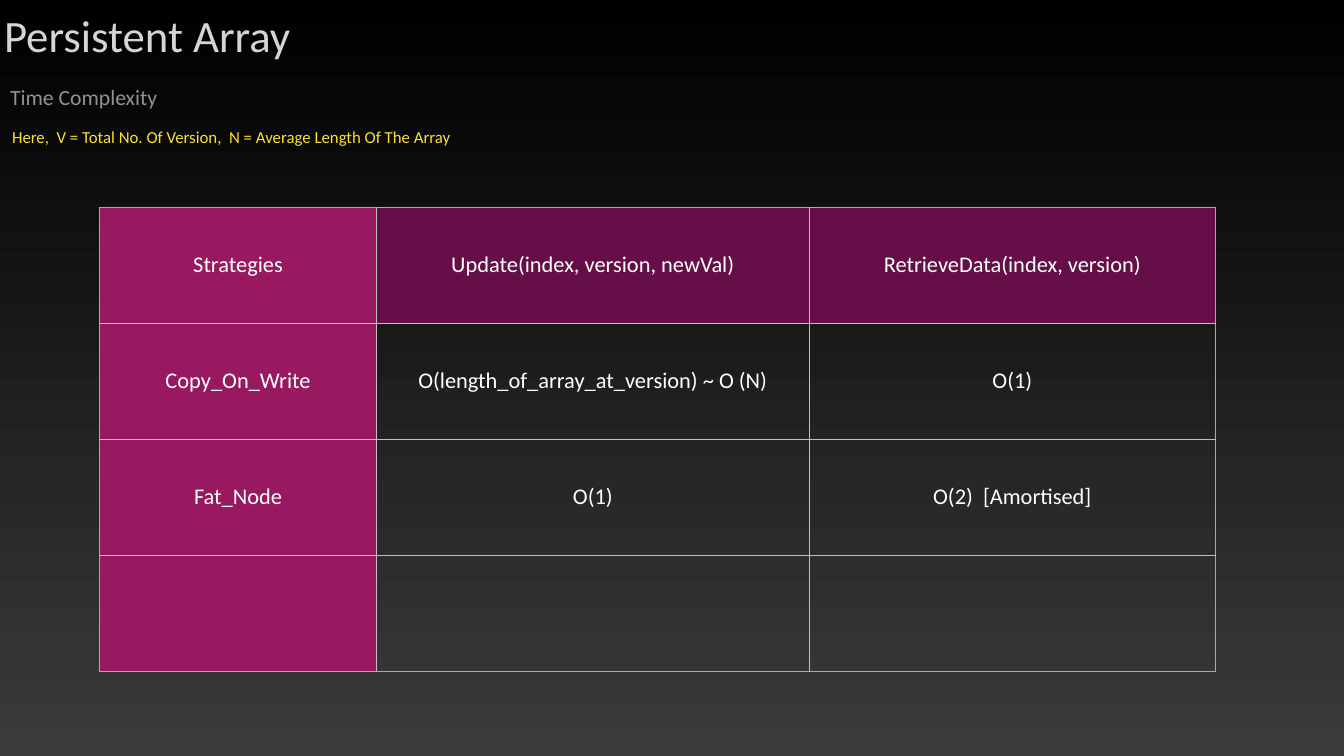
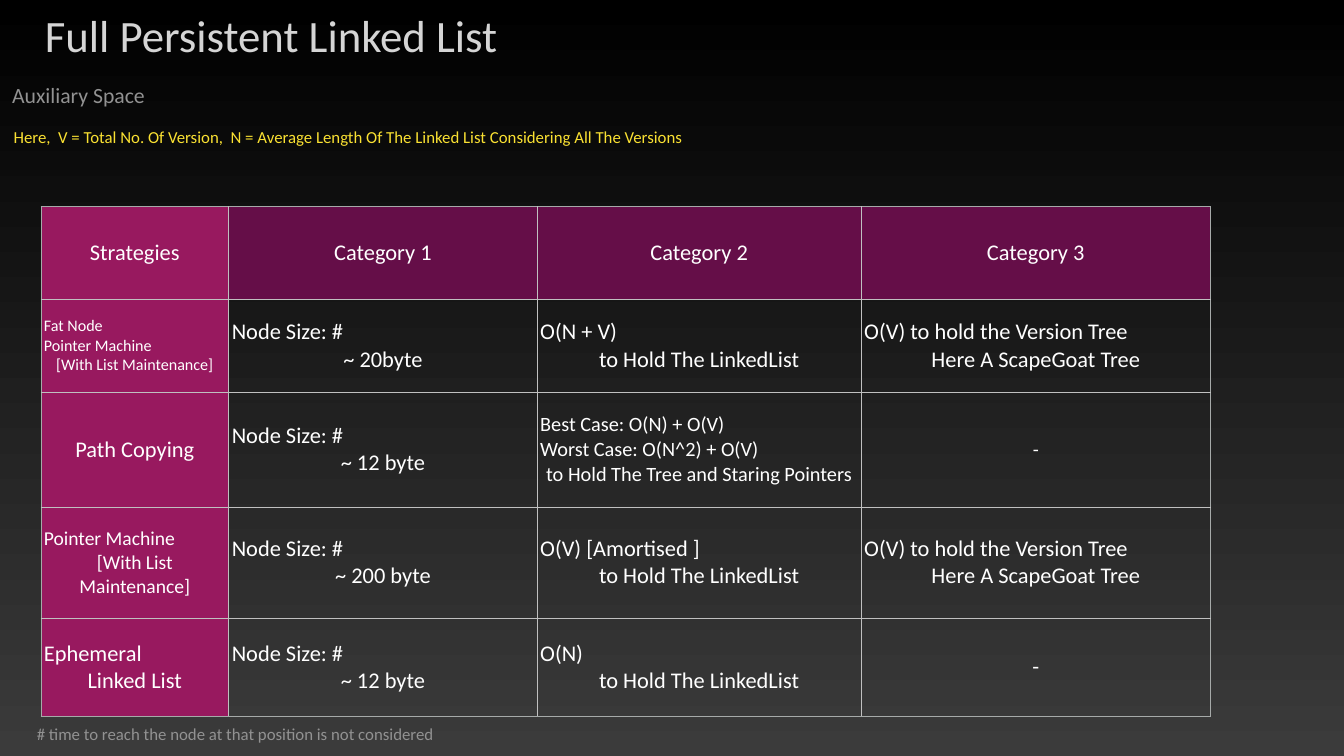
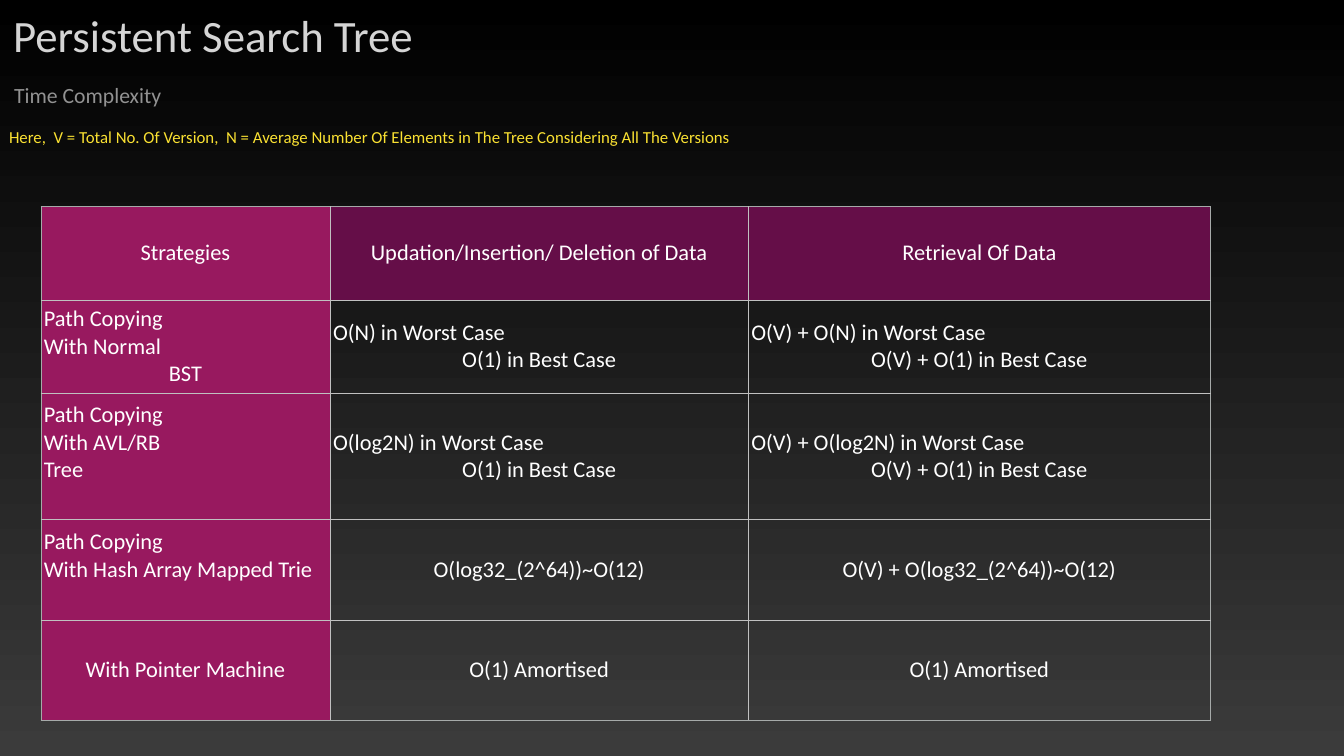
from dataclasses import dataclass

from lxml import etree
from pptx import Presentation
from pptx.dml import color as clr
from pptx.enum import text as txt
from pptx.oxml import ns
from pptx.util import Inches, Pt

HUES = {
    "top": "000000", "base": "3B3B3B", "title": "D5D5D5", "gray": "929292",
    "note": "FAE132", "text": "FFFFFF", "head": "650E48", "side": "98195F",
    "edge": "A6AAA9", "rule": "C0C0C0",
}
FONT = "Calibri"
PAD = Inches(0.06)
LEFT, MID = txt.PP_ALIGN.LEFT, txt.PP_ALIGN.CENTER


@dataclass
class Label:
    text: str
    left: float
    top: float
    width: float
    height: float
    size: int
    hue: str


@dataclass
class Entry:
    """A cell text; foot is the room kept free below an all-left entry."""
    text: str
    size: int = 32
    foot: float = 0


@dataclass
class Grid:
    left: float
    top: float
    cols: list[float]
    rows: list[float]
    cells: list[list]


@dataclass
class Page:
    title: Label
    notes: list[Label]
    grid: Grid


def title(text: str, left: float, width: float) -> Label:
    return Label(text, left, 0.05, width, 1.28, 64, "title")


def topic(text: str, left: float, top: float, width: float) -> Label:
    return Label(text, left, top, width, 0.68, 31, "gray")


def legend(text: str, left: float, width: float) -> Label:
    return Label("Here,  V = Total No. Of Version,  N = Average " + text,
                 left, 2.45, width, 0.54, 24, "note")


def rgb(hue: str) -> clr.RGBColor:
    return clr.RGBColor.from_string(HUES[hue])


def style(para, size: int, hue: str, align) -> None:
    para.alignment = align
    para.font.name = FONT
    para.font.size = Pt(size)
    para.font.color.rgb = rgb(hue)
    para.font.bold = False


def place(shape, label: Label) -> None:
    """Move a title or text box and set its text."""
    shape.left, shape.top = Inches(label.left), Inches(label.top)
    shape.width, shape.height = Inches(label.width), Inches(label.height)
    frame = shape.text_frame
    frame.text = label.text
    frame.word_wrap = True
    frame.auto_size = txt.MSO_AUTO_SIZE.NONE
    frame.vertical_anchor = txt.MSO_ANCHOR.MIDDLE
    frame.margin_left = frame.margin_right = PAD
    frame.margin_top = frame.margin_bottom = PAD
    style(frame.paragraphs[0], label.size, label.hue, LEFT)


def border(cell, hues: dict[str, str]) -> None:
    props = cell._tc.get_or_add_tcPr()
    for side, hue in hues.items():
        line = etree.SubElement(props, ns.qn(f"a:ln{side}"), w=str(Pt(1)))
        fill = etree.SubElement(line, ns.qn("a:solidFill"))
        etree.SubElement(fill, ns.qn("a:srgbClr"), val=HUES[hue])


def fill_cell(cell, entry: Entry) -> None:
    """Lines before the last run left; the last one is centred."""
    cell.vertical_anchor = txt.MSO_ANCHOR.MIDDLE
    cell.margin_left = cell.margin_right = cell.margin_top = PAD
    cell.margin_bottom = PAD + Inches(entry.foot)
    cell.text = entry.text
    paras = cell.text_frame.paragraphs
    for i, para in enumerate(paras):
        last = i == len(paras) - 1 and not entry.foot
        style(para, entry.size, "text", MID if last else LEFT)


def draw_grid(slide, grid: Grid) -> None:
    nrow, ncol = len(grid.rows), len(grid.cols)
    table = slide.shapes.add_table(
        nrow, ncol, Inches(grid.left), Inches(grid.top),
        Inches(sum(grid.cols)), Inches(sum(grid.rows))).table
    table.first_row = table.horz_banding = False
    for col, width in zip(table.columns, grid.cols):
        col.width = Inches(width)
    for row, height in zip(table.rows, grid.rows):
        row.height = Inches(height)
    for r, line in enumerate(grid.cells):
        for c, item in enumerate(line):
            cell = table.cell(r, c)
            outer = {"L": c == 0, "R": c == ncol - 1,
                     "T": r == 0, "B": r == nrow - 1}
            border(cell, {k: "edge" if v else "rule" for k, v in outer.items()})
            if r and c:
                cell.fill.background()
            else:
                cell.fill.solid()
                cell.fill.fore_color.rgb = rgb("head" if c else "side")
            fill_cell(cell, item if isinstance(item, Entry) else Entry(item))


def draw_page(deck, page: Page) -> None:
    slide = deck.slides.add_slide(deck.slide_layouts[5])
    place(slide.shapes.title, page.title)
    draw_grid(slide, page.grid)
    for note in page.notes:
        place(slide.shapes.add_textbox(0, 0, 0, 0), note)


def paint(master) -> None:
    """Shared gradient, dark at the top."""
    fill = master.background.fill
    fill.gradient()
    fill.gradient_angle = 270
    for stop, hue, pos in zip(fill.gradient_stops, ("top", "base"), (0, 1)):
        stop.color.rgb = rgb(hue)
        stop.position = pos


# Wording used in several rows
TREE = "O(V) to hold the Version Tree\nHere A ScapeGoat Tree"
HOLD = "\nto Hold The LinkedList"
NODE = "Node Size: #\n~ "
LIST = "Pointer Machine\n[With List Maintenance]"
COPY = "Path Copying\nWith "
BEST = "O(1) in Best Case"

PAGES = [
    # Array
    Page(
        title("Persistent Array", 0.02, 6.86),
        [topic("Time Complexity", 0.14, 1.58, 3.52),
         legend("Length Of The Array", 0.18, 10.14)],
        Grid(1.98, 4.11, [5.49, 8.59, 8.06], [2.3] * 4, [
            ["Strategies", "Update(index, version, newVal)",
             "RetrieveData(index, version)"],
            ["Copy_On_Write", "O(length_of_array_at_version) ~ O (N)", "O(1)"],
            ["Fat_Node", "O(1)", "O(2)  [Amortised]"],
            ["", "", ""],
        ])),
    # Linked list
    Page(
        title("Full Persistent Linked List", 0.83, 10.79),
        [topic("Auxiliary Space", 0.18, 1.55, 3.45),
         legend("Length Of The Linked List Considering All The Versions",
                0.21, 15.52),
         Label("# time to reach the node at that position is not considered",
               0.67, 14.29, 9.25, 0.54, 24, "gray")],
        Grid(0.81, 4.1, [3.73, 6.12, 6.43, 6.93],
             [1.84, 1.84, 2.28, 2.2, 1.96], [
            ["Strategies", "Category 1", "Category 2", "Category 3"],
            [Entry("Fat Node\n" + LIST, 23), NODE + "20byte",
             "O(N + V)" + HOLD, TREE],
            ["Path Copying", NODE + "12 byte",
             Entry("Best Case: O(N) + O(V)\nWorst Case: O(N^2) + O(V)\n"
                   "to Hold The Tree and Staring Pointers", 29),
             Entry("-", 28)],
            [Entry(LIST, 28), NODE + "200 byte",
             "O(V) [Amortised ]" + HOLD, TREE],
            ["Ephemeral\nLinked List", NODE + "12 byte", "O(N)" + HOLD, "-"],
        ])),
    # Search tree
    Page(
        title("Persistent Search Tree", 0.2, 9.61),
        [topic("Time Complexity", 0.22, 1.55, 3.52),
         legend("Number Of Elements in The Tree Considering All The Versions",
                0.12, 16.6)],
        Grid(0.81, 4.1, [5.74, 8.3, 9.17], [1.85, 1.85, 2.5, 2, 2], [
            ["Strategies", "Updation/Insertion/ Deletion of Data",
             "Retrieval Of Data"],
            [COPY + "Normal\nBST", "O(N) in Worst Case\n" + BEST,
             "O(V) + O(N) in Worst Case\nO(V) + " + BEST],
            [Entry(COPY + "AVL/RB\nTree", foot=0.54),
             "O(log2N) in Worst Case\n" + BEST,
             "O(V) + O(log2N) in Worst Case\nO(V) + " + BEST],
            [Entry(COPY + "Hash Array Mapped Trie", foot=0.54),
             "O(log32_(2^64))~O(12)", "O(V) + O(log32_(2^64))~O(12)"],
            ["With Pointer Machine", "O(1) Amortised", "O(1) Amortised"],
        ])),
]


def main() -> None:
    deck = Presentation()
    deck.slide_width, deck.slide_height = Inches(26.67), Inches(15)
    paint(deck.slide_master)
    for page in PAGES:
        draw_page(deck, page)
    deck.save("out.pptx")


if __name__ == "__main__":
    main()
